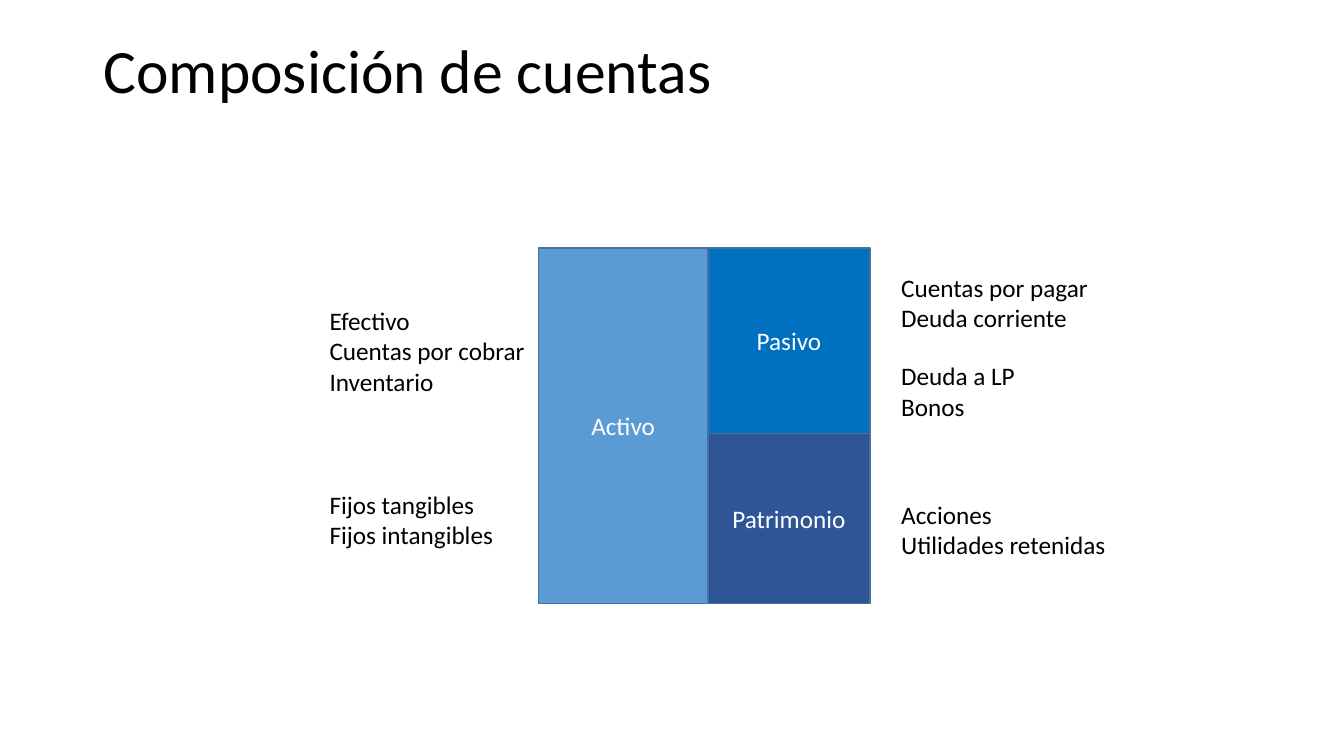
"""Build the slide on the composition of balance sheet accounts."""
from pptx import Presentation
from pptx.dml.color import RGBColor
from pptx.enum.shapes import MSO_SHAPE
from pptx.enum.text import MSO_ANCHOR, MSO_AUTO_SIZE, PP_ALIGN
from pptx.util import Inches, Pt

COLORS = {
    "text": "000000",
    "label": "FFFFFF",
    "border": "43739E",
    "activo": "5B9BD5",
    "pasivo": "0070C0",
    "patrimonio": "2F5597",
}


def color(name):
    return RGBColor.from_string(COLORS[name])


def write(frame, lines, size, ink, align=PP_ALIGN.LEFT, spacing=1.0):
    for index, line in enumerate(lines):
        paragraph = frame.paragraphs[0] if index == 0 else frame.add_paragraph()
        paragraph.alignment = align
        paragraph.line_spacing = spacing
        run = paragraph.add_run()
        run.text = line
        font_format = {"name": "Calibri", "size": Pt(size)}
        for attribute, value in font_format.items():
            setattr(run.font, attribute, value)
        run.font.color.rgb = color(ink)


prs = Presentation()
prs.slide_width, prs.slide_height = Inches(13.33), Inches(7.5)
slide = prs.slides.add_slide(prs.slide_layouts[6])

title = slide.shapes.add_textbox(Inches(0.93), Inches(0), Inches(11.5), Inches(1.45)).text_frame
title.word_wrap = True
title.vertical_anchor = MSO_ANCHOR.MIDDLE
write(title, ["Composición de cuentas"], 44, "text", spacing=0.9)

left, top, height = 5.34, 2.46, 3.53
activo_width, right_width, pasivo_height = 1.68, 1.61, 1.84
middle = left + activo_width
blocks = [
    ("Activo", left, top, activo_width, height),
    ("Pasivo", middle, top, right_width, pasivo_height),
    ("Patrimonio", middle, top + pasivo_height, right_width, height - pasivo_height),
]
balance = slide.shapes.add_group_shape()
for name, *box in blocks:
    block = balance.shapes.add_shape(MSO_SHAPE.RECTANGLE, *map(Inches, box))
    block.shadow.inherit = False
    block.fill.solid()
    block.fill.fore_color.rgb = color(name.lower())
    block.line.color.rgb = color("border")
    block.line.width = Pt(1)
    block.text_frame.vertical_anchor = MSO_ANCHOR.MIDDLE
    write(block.text_frame, [name], 18, "label", PP_ALIGN.CENTER)

assets_left, claims_left = 3.17, 8.84
accounts = [
    (assets_left, 2.98, 2.16, 1.01, ["Efectivo", "Cuentas por cobrar", "Inventario"]),
    (assets_left, 4.8, 1.84, 0.71, ["Fijos tangibles", "Fijos intangibles"]),
    (claims_left, 2.65, 2.07, 0.71, ["Cuentas por pagar", "Deuda corriente"]),
    (claims_left, 3.53, 1.34, 0.71, ["Deuda a LP", "Bonos"]),
    (claims_left, 4.9, 2.25, 0.71, ["Acciones", "Utilidades retenidas"]),
]
for *box, names in accounts:
    frame = slide.shapes.add_textbox(*map(Inches, box)).text_frame
    frame.word_wrap = False
    frame.auto_size = MSO_AUTO_SIZE.SHAPE_TO_FIT_TEXT
    write(frame, names, 18, "text")

prs.save("out.pptx")
